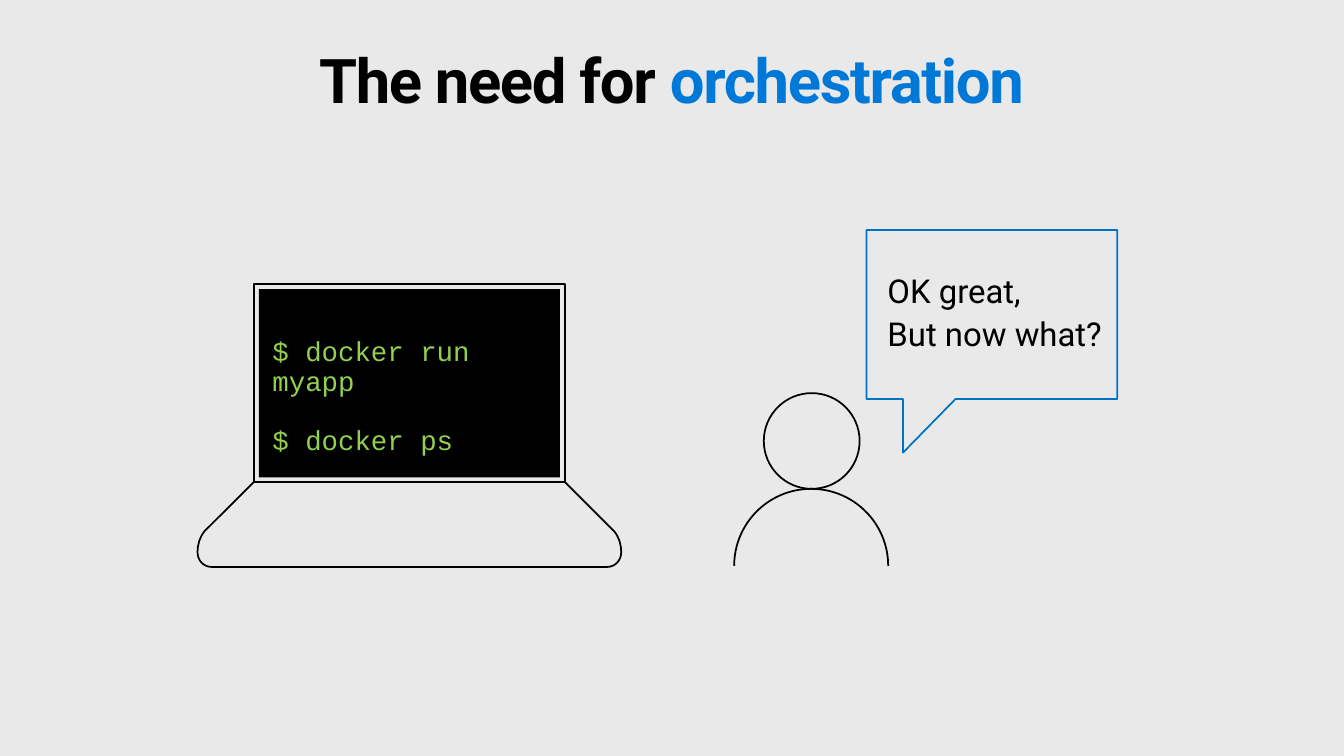
"""Build a slide about the need for container orchestration."""
import math
from dataclasses import dataclass
from typing import Optional

from pptx import Presentation
from pptx.dml.color import RGBColor
from pptx.enum import shapes as kinds, text as layout
from pptx.oxml.ns import qn
from pptx.util import Pt

BACKGROUND = RGBColor(0xE9, 0xE9, 0xE9)
BLACK = RGBColor(0, 0, 0)
CALLOUT_BLUE = RGBColor(0x00, 0x72, 0xC6)
TITLE_BLUE = RGBColor(0x00, 0x78, 0xD7)
TERMINAL_GREEN = RGBColor(0x92, 0xD0, 0x50)

Point = tuple[float, float]
Segment = tuple[Point, ...]
Run = tuple[str, RGBColor]


@dataclass(frozen=True)
class Contour:
    """A start point, then lines of one point and curves of three."""
    start: Point
    segments: list[Segment]
    closed: bool = True


@dataclass(frozen=True)
class Drawing:
    contours: list[Contour]
    color: RGBColor


@dataclass(frozen=True)
class Label:
    box: tuple[float, float, float, float]
    paragraphs: list[list[Run]]
    font: str
    size: float
    inset: Point = (14.4, 11.5)
    right_inset: float = 0
    gap: float = 0
    align: layout.PP_ALIGN = layout.PP_ALIGN.LEFT
    bold: Optional[bool] = None
    tracking: int = 0


def polygon(points: list[Point]) -> Contour:
    """Join points with straight lines."""
    return Contour(points[0], [(point,) for point in points[1:]])


def arc(center: Point, radius: float, quarters: int, closed: bool) -> Contour:
    """Turn clockwise from the left in quarter circles."""
    def place(along: float, across: float, turn: int) -> Point:
        angle = math.pi * (1 + turn / 2)
        cos, sin = math.cos(angle), math.sin(angle)
        return (center[0] + radius * (along * cos - across * sin),
                center[1] + radius * (along * sin + across * cos))

    bend = 0.5523
    curves = [(place(1, bend, turn), place(bend, 1, turn), place(0, 1, turn))
              for turn in range(quarters)]
    return Contour(place(1, 0, 0), curves, closed)


def laptop() -> Drawing:
    """Outline the laptop lid and its mirrored base."""
    middle, left, top, hinge = 292.4, 181.4, 203, 344.3
    right = 2 * middle - left
    lid = polygon([(left, top), (right, top), (right, hinge), (left, hinge)])
    half = [(left, hinge), (146.2, 379.4), (142.6, 383.8), (141.1, 388.8),
            (141.1, 394.6), (141.1, 400.3), (145.4, 405), (151.2, 405)]
    outline = half + [(2 * middle - x, y) for x, y in reversed(half)]
    ends = [1, 2, 5, 8, 9, 12, 15, 16]
    segments = [tuple(outline[a:b]) for a, b in zip(ends, ends[1:])]
    return Drawing([lid, Contour(outline[0], segments)], BLACK)


def person() -> Drawing:
    """Outline the head and shoulders of the user."""
    middle, neck, head, shoulders = 579.8, 349.2, 34.2, 55
    return Drawing([
        arc((middle, neck - head), head, 4, True),
        arc((middle - 0.4, neck + shoulders), shoulders, 2, False),
    ], BLACK)


def callout() -> Drawing:
    """Outline the speech bubble."""
    left, top, right, bottom, tail = 619, 164.2, 798, 285, 645
    return Drawing([polygon([
        (left, top), (right, top), (right, bottom), (682.5, bottom),
        (tail, 323.3), (tail, bottom), (left, bottom),
    ])], CALLOUT_BLUE)


def draw_outline(slide, drawing: Drawing) -> None:
    """Draw all contours of a drawing as one unfilled shape with true curves."""
    builder = slide.shapes.build_freeform(
        *map(Pt, drawing.contours[0].start), scale=1.0)
    for index, contour in enumerate(drawing.contours):
        if index:
            builder.move_to(*map(Pt, contour.start))
        points = [(Pt(x), Pt(y)) for segment in contour.segments for x, y in segment]
        builder.add_line_segments(points, close=contour.closed)
    outline = builder.convert_to_shape()
    outline.shadow.inherit = False
    outline.fill.background()
    outline.line.color.rgb = drawing.color
    outline.line.width = Pt(1.25)
    steps = iter(list(outline._element.iter(qn("a:lnTo"))))
    for contour in drawing.contours:
        for segment in contour.segments:
            first, *others = [next(steps) for _ in segment]
            if others:
                first.tag = qn("a:cubicBezTo")
            for step in others:
                first.append(step[0])
                step.getparent().remove(step)


def draw_screen(slide) -> None:
    """Draw the black terminal screen."""
    screen = slide.shapes.add_shape(
        kinds.MSO_SHAPE.RECTANGLE, Pt(185), Pt(206.5), Pt(215), Pt(134.6))
    screen.shadow.inherit = False
    screen.fill.solid()
    screen.fill.fore_color.rgb = BLACK
    screen.line.fill.background()


def draw_label(slide, label: Label) -> None:
    """Write a label run by run."""
    frame = slide.shapes.add_textbox(*map(Pt, label.box)).text_frame
    frame.word_wrap = True
    frame.vertical_anchor = layout.MSO_ANCHOR.TOP
    frame.margin_left = Pt(label.inset[0])
    frame.margin_right = Pt(label.right_inset)
    frame.margin_top = frame.margin_bottom = Pt(label.inset[1])
    for index, runs in enumerate(label.paragraphs):
        paragraph = frame.add_paragraph() if index else frame.paragraphs[0]
        paragraph.alignment = label.align
        paragraph.line_spacing = 0.9
        paragraph.space_after = Pt(label.gap)
        for words, color in runs:
            run = paragraph.add_run()
            run.text = words
            run.font.name = label.font
            run.font.size = Pt(label.size)
            run.font.bold = label.bold
            run.font.color.rgb = color
            if label.tracking:
                run._r.get_or_add_rPr().set("spc", str(label.tracking))


TITLE = Label((35.6, 36, 888, 56),
              [[("The need for ", BLACK), ("orchestration", TITLE_BLUE)]],
              "Roboto", 44, inset=(0, 0), align=layout.PP_ALIGN.CENTER,
              bold=True, tracking=-100)
SPEECH = Label((619.5, 184.8, 182, 80),
               [[("OK great,", BLACK)], [("But now what?", BLACK)]],
               "Roboto", 23.5, gap=5.6)
TERMINAL = Label((180.2, 230, 224.6, 87),
                 [[("$ docker run myapp", TERMINAL_GREEN)],
                  [("$ docker ps", TERMINAL_GREEN)]],
                 "Courier New", 19.6, right_inset=14.4, gap=20.8)


def main() -> None:
    """Build and save the slide."""
    deck = Presentation()
    deck.slide_width, deck.slide_height = Pt(960), Pt(540)
    slide = deck.slides.add_slide(deck.slide_layouts[6])
    slide.background.fill.solid()
    slide.background.fill.fore_color.rgb = BACKGROUND
    for drawing in (laptop(), callout(), person()):
        draw_outline(slide, drawing)
    draw_screen(slide)
    for label in (SPEECH, TERMINAL, TITLE):
        draw_label(slide, label)
    deck.save("out.pptx")


if __name__ == "__main__":
    main()
